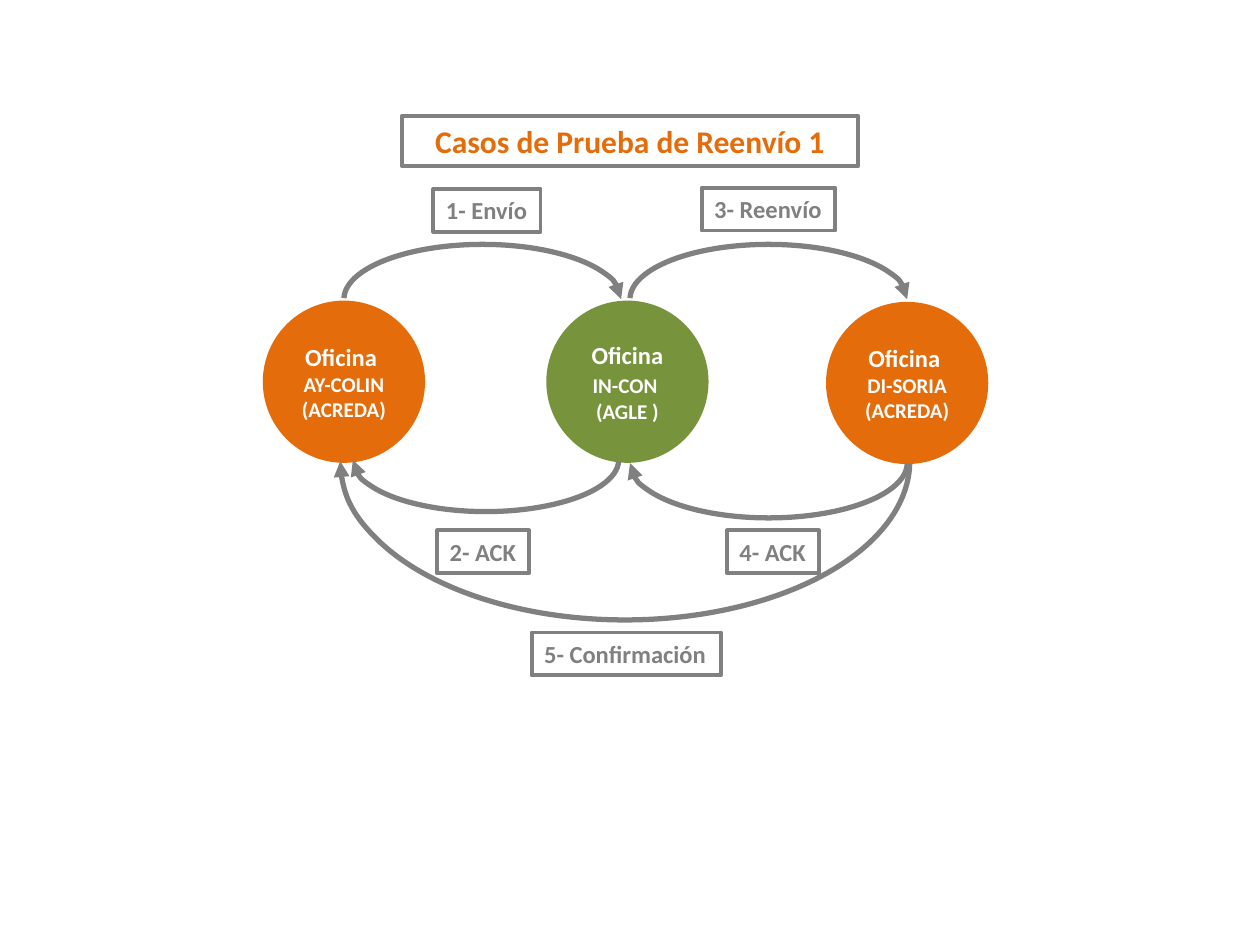
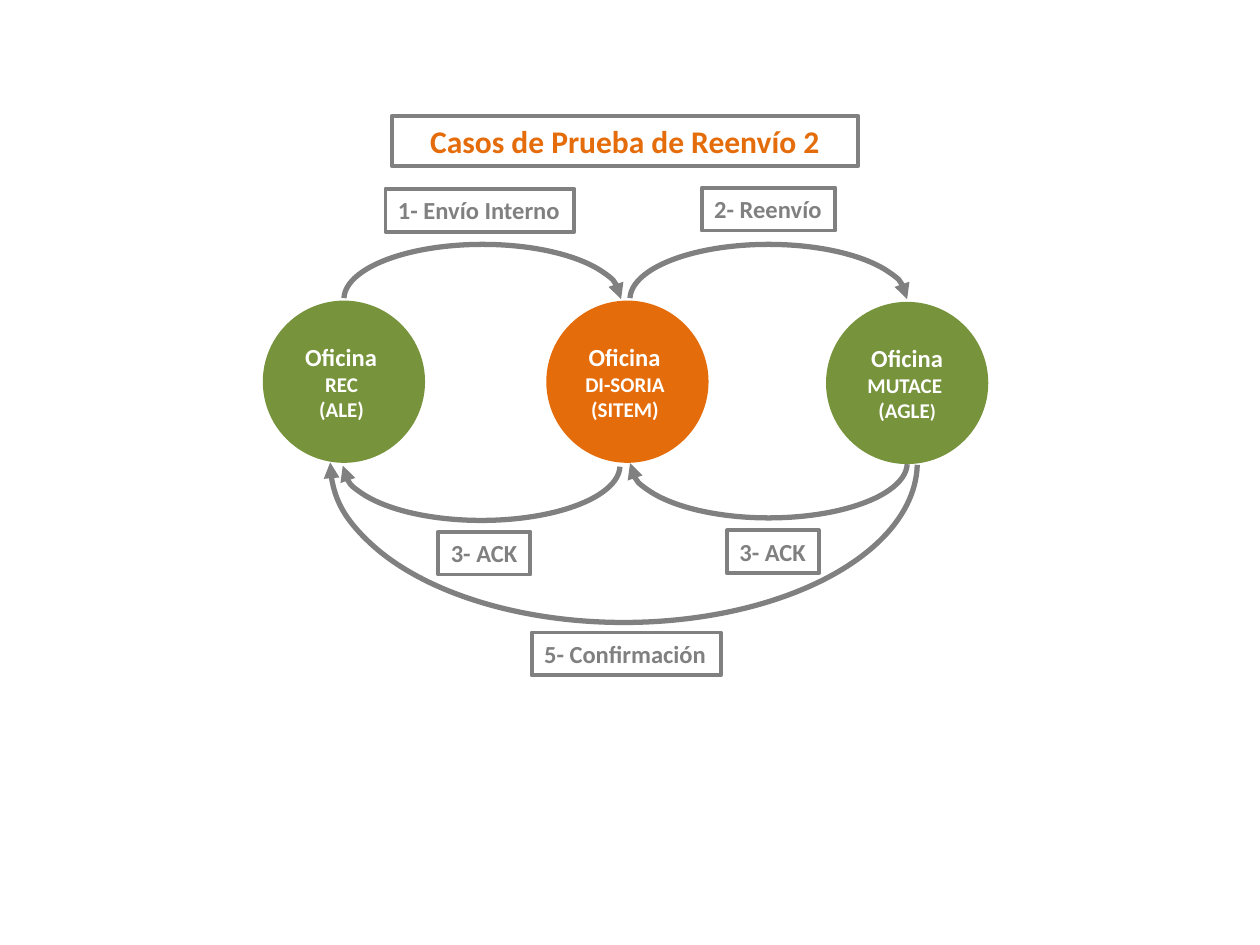
from dataclasses import dataclass
from lxml.etree import SubElement
from pptx import Presentation
from pptx.dml.color import RGBColor
from pptx.enum.shapes import MSO_SHAPE as Preset
from pptx.enum.text import MSO_ANCHOR as Anchor, MSO_AUTO_SIZE as AutoSize, PP_ALIGN as Align
from pptx.oxml.ns import qn
from pptx.util import Inches, Pt


@dataclass(frozen=True)
class Theme:
    """Colours, font, type sizes and line widths of both slides."""
    orange: RGBColor = RGBColor(0xE4, 0x6C, 0x0A)
    green: RGBColor = RGBColor(0x77, 0x93, 0x3C)
    grey: RGBColor = RGBColor(0x80, 0x80, 0x80)
    white: RGBColor = RGBColor(0xFF, 0xFF, 0xFF)
    font: str = "Calibri"
    title: int = 18
    label: int = 14
    office: int = 12
    office_end: int = 11
    circle_line: float = 2
    box_line: float = 2.25
    arrow_line: float = 3


THEME = Theme()
BIG, SMALL = THEME.label, THEME.office
ARC_START = 108.276
CIRCLE = 1.26
OFFICE_SPOTS = [(2.1, 2.4), (4.35, 2.4), (6.57, 2.41)]

# Arrows: left, top, width, height, rotation. Labels: text, left, top, width.
SHARED_ARROWS = [
    (2.73, 1.94, 2.2, 0.87, 0),
    (5, 1.94, 2.2, 0.87, 0),
    (5, 3.24, 2.2, 0.87, 180),
]
SHARED_LABELS = [("5- Confirmación", 4.22, 5.02, 1.5)]

# Each office: colour, then paragraphs made of (text, size) runs.
HEADING = ("Oficina ", BIG)
CASES = [
    dict(
        title=("Casos de Prueba de Reenvío 1", 3.19, 3.62),
        offices=[
            (THEME.orange, [[HEADING], [("AY-COLIN", SMALL)], [("(ACREDA) ", SMALL)]]),
            (THEME.green, [[HEADING, ("IN-CON ", SMALL), (" ", BIG), ("(AGLE )", SMALL)]]),
            (THEME.orange, [[HEADING], [("DI-SORIA", SMALL)], [("(ACREDA) ", SMALL)]]),
        ],
        arrows=[(2.8, 3.24, 2.11, 0.82, 180), (2.7, 2.4, 4.52, 2.52, 180)],
        labels=[
            ("1- Envío", 3.44, 1.5, 0.85),
            ("3- Reenvío", 5.57, 1.49, 1.06),
            ("2- ACK", 3.47, 4.21, 0.73),
            ("4- ACK", 5.77, 4.21, 0.73),
        ],
    ),
    dict(
        title=("Casos de Prueba de Reenvío 2", 3.11, 3.7),
        offices=[
            (THEME.green, [[HEADING], [("REC ", SMALL)], [("(ALE) ", SMALL)]]),
            (THEME.orange, [[HEADING], [("DI-SORIA ", SMALL)], [("(SITEM) ", SMALL)]]),
            (THEME.green, [[HEADING, ("MUTACE ", SMALL)],
                           [("(AGLE", SMALL), (")", THEME.office_end)]]),
        ],
        arrows=[(2.72, 3.26, 2.2, 0.87, 180), (2.62, 2.4, 4.66, 2.54, 180)],
        labels=[
            ("1- Envío Interno", 3.06, 1.5, 1.5),
            ("2- Reenvío", 5.57, 1.49, 1.06),
            ("3- ACK", 3.48, 4.22, 0.73),
            ("3- ACK", 5.77, 4.21, 0.73),
        ],
    ),
]


def add_outlined(slide, preset, box, colour, width):
    """Add an unfilled preset shape with a coloured outline and no shadow."""
    shape = slide.shapes.add_shape(preset, *(Inches(length) for length in box))
    shape.shadow.inherit = False
    shape.fill.background()
    shape.line.color.rgb = colour
    shape.line.width = Pt(width)
    return shape


def style_run(run, size, colour):
    """Give a run the bold theme font in one size and colour."""
    run.font.name = THEME.font
    run.font.bold = True
    run.font.size = Pt(size)
    run.font.color.rgb = colour


prs = Presentation()
prs.slide_width, prs.slide_height = Inches(10), Inches(7.5)

for case in CASES:
    slide = prs.slides.add_slide(prs.slide_layouts[6])

    # Offices
    for (left, top), (colour, paragraphs) in zip(OFFICE_SPOTS, case["offices"]):
        office = add_outlined(slide, Preset.OVAL, (left, top, CIRCLE, CIRCLE),
                              colour, THEME.circle_line)
        office.fill.solid()
        office.fill.fore_color.rgb = colour
        frame = office.text_frame
        frame.word_wrap = True
        frame.vertical_anchor = Anchor.MIDDLE
        for index, parts in enumerate(paragraphs):
            paragraph = frame.add_paragraph() if index else frame.paragraphs[0]
            paragraph.alignment = Align.CENTER
            for text, size in parts:
                run = paragraph.add_run()
                run.text = text
                style_run(run, size, THEME.white)

    # Curved arrows between the offices
    for *box, rotation in SHARED_ARROWS + case["arrows"]:
        arrow = add_outlined(slide, Preset.ARC, box, THEME.grey, THEME.arrow_line)
        arrow.rotation = rotation
        arrow.adjustments[0] = ARC_START
        arrow.adjustments[1] = 0
        SubElement(arrow.line._get_or_add_ln(), qn("a:tailEnd"), type="triangle")

    # Step labels and title
    title, title_left, title_width = case["title"]
    boxes = [(text, (left, top, width, 0.34), BIG, THEME.grey, Align.LEFT, False)
             for text, left, top, width in SHARED_LABELS + case["labels"]]
    boxes.append((title, (title_left, 0.92, title_width, 0.4),
                  THEME.title, THEME.orange, Align.CENTER, True))
    for text, box, size, colour, alignment, wrap in boxes:
        frame = add_outlined(slide, Preset.RECTANGLE, box, THEME.grey,
                             THEME.box_line).text_frame
        frame.text = text
        frame.word_wrap = wrap
        frame.auto_size = AutoSize.SHAPE_TO_FIT_TEXT
        frame.vertical_anchor = Anchor.TOP
        frame.paragraphs[0].alignment = alignment
        style_run(frame.paragraphs[0].runs[0], size, colour)

prs.save("out.pptx")
